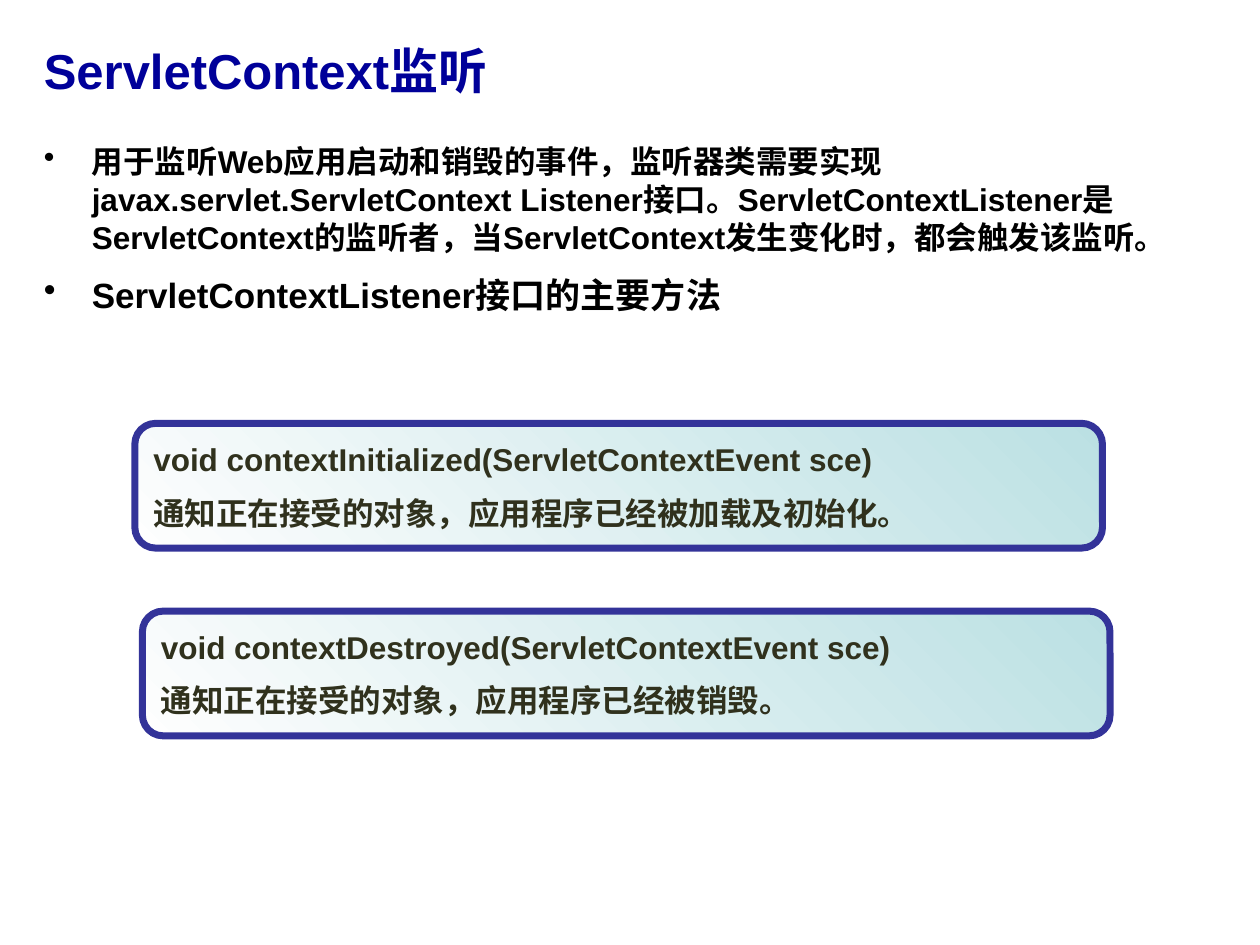
"""Build the ServletContext listener slide."""
from lxml import etree
from pptx import Presentation
from pptx import util as u
from pptx.dml.color import RGBColor
from pptx.enum import shapes, text
from pptx.oxml.ns import qn

COLORS = {
    "title": "000099", "body": "000000", "method": "30311D",
    "border": "333399", "tint": "BBE0E3", "pale": "FEFEFE",
}
METHODS = [
    (1.07, 3.36, "void contextInitialized(ServletContextEvent sce)",
     "通知正在接受的对象，应用程序已经被加载及初始化。"),
    (1.13, 4.85, "void contextDestroyed(ServletContextEvent sce)",
     "通知正在接受的对象，应用程序已经被销毁。"),
]
BULLETS = [
    ("用于监听Web应用启动和销毁的事件，监听器类需要实现"
     "javax.servlet.ServletContext Listener接口。"
     "ServletContextListener是ServletContext的监听者，"
     "当ServletContext发生变化时，都会触发该监听。", 18),
    ("ServletContextListener接口的主要方法", 20),
]


def color(name):
    return RGBColor.from_string(COLORS[name])


class SlideBuilder:
    """Hold the text style and the current slide."""

    def __init__(self, page):
        self.page = page
        self.style = {"name": "Arial", "bold": True}

    def fill_text(self, frame, lines, color_name, gap=0, bullet_indent=0):
        for index, (words, size) in enumerate(lines):
            para = frame.paragraphs[0] if index == 0 else frame.add_paragraph()
            para.alignment = text.PP_ALIGN.LEFT
            para.space_before = u.Pt(gap if index else 0)
            if bullet_indent:
                props = para._p.get_or_add_pPr()
                props.set("marL", str(u.Inches(bullet_indent)))
                props.set("indent", str(-u.Inches(bullet_indent)))
                etree.SubElement(props, qn("a:buChar")).set("char", "•")
            span = para.add_run()
            span.text = words
            for key, value in {**self.style, "size": u.Pt(size)}.items():
                setattr(span.font, key, value)
            span.font.color.rgb = color(color_name)

    def text_box(self, place, lines, color_name, anchor, **layout):
        box = self.page.shapes.add_textbox(*map(u.Inches, place))
        frame = box.text_frame
        for key, value in {"word_wrap": True, "vertical_anchor": anchor}.items():
            setattr(frame, key, value)
        self.fill_text(frame, lines, color_name, **layout)

    def method_card(self, left, top, signature, summary):
        card = self.page.shapes.add_shape(
            shapes.MSO_SHAPE.ROUNDED_RECTANGLE,
            *map(u.Inches, (left, top, 7.68, 0.99)))
        card.shadow.inherit = False
        card.fill.gradient()
        card.fill.gradient_angle = 225
        for stop, name in zip(card.fill.gradient_stops, ("tint", "pale")):
            stop.color.rgb = color(name)
        card.line.color.rgb = color("border")
        card.line.width = u.Pt(4)
        frame = card.text_frame
        for key, value in {"word_wrap": False,
                           "vertical_anchor": text.MSO_ANCHOR.MIDDLE}.items():
            setattr(frame, key, value)
        self.fill_text(frame, [(signature, 18), (summary, 18)], "method", gap=9)


def main():
    deck = Presentation()
    deck.slide_width, deck.slide_height = u.Inches(10), u.Inches(7.5)
    builder = SlideBuilder(deck.slides.add_slide(deck.slide_layouts[6]))
    builder.text_box((0.25, 0.22, 9, 0.67), [("ServletContext监听", 28)],
                     "title", text.MSO_ANCHOR.MIDDLE)
    builder.text_box((0.25, 1.08, 9.58, 1.79), BULLETS, "body",
                     text.MSO_ANCHOR.TOP, gap=10, bullet_indent=0.38)
    for method in METHODS:
        builder.method_card(*method)
    deck.save("out.pptx")


if __name__ == "__main__":
    main()
